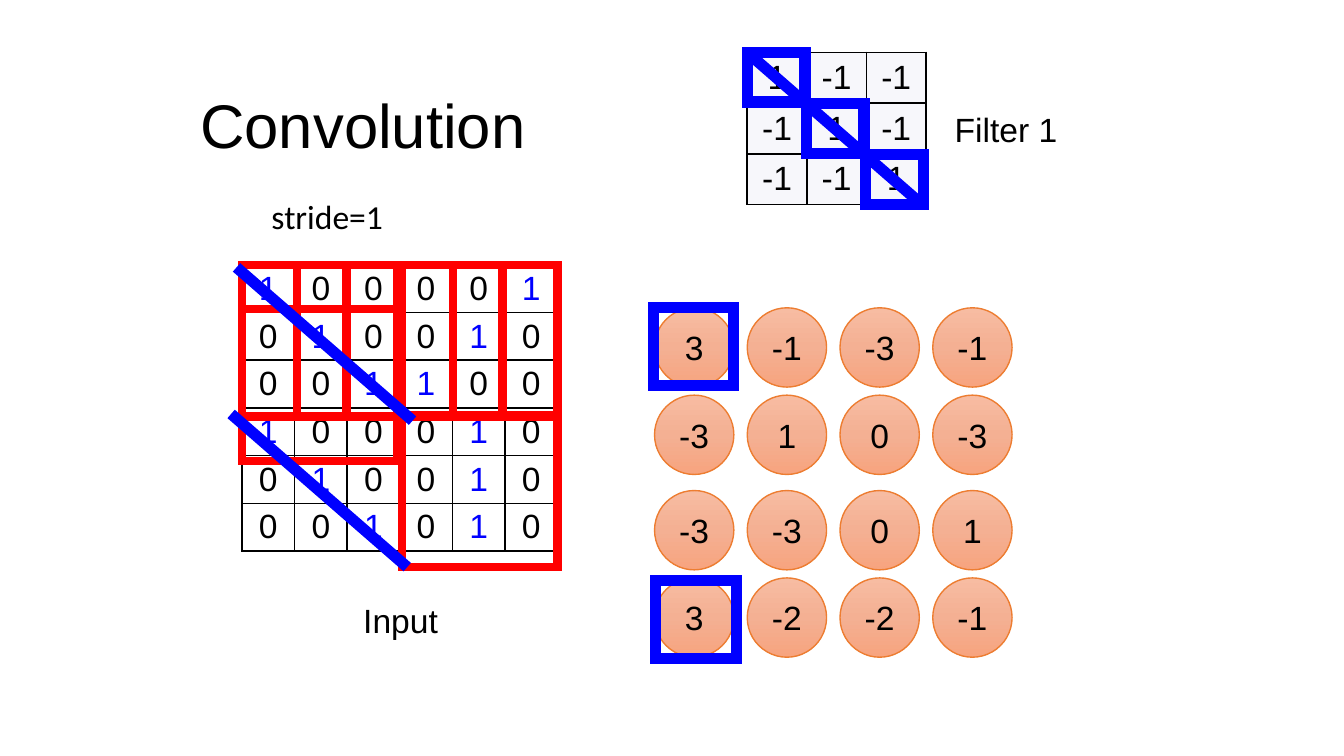
from lxml.etree import SubElement
from pptx import Presentation
from pptx.dml.color import RGBColor
from pptx.enum.shapes import MSO_CONNECTOR as Connector, MSO_SHAPE as Shape
from pptx.enum.text import MSO_ANCHOR as Anchor, MSO_AUTO_SIZE as AutoSize, PP_ALIGN as Align
from pptx.oxml.ns import qn
from pptx.util import Inches, Pt

SLIDE_WIDTH = 10
SLIDE_HEIGHT = SLIDE_WIDTH * 9 / 16
BLACK, RED, BLUE = "000000", "FF0000", "0000FF"

INPUT = dict(
    values=["100001", "010010", "001100", "100010", "010010", "001010"],
    left=1.8, top=1.97, width=2.35, row=0.3, side=0.07, inset=Pt(2.7),
    fill=None, one_color=BLUE)
FILTER = dict(
    values=[["1", "-1", "-1"], ["-1", "1", "-1"], ["-1", "-1", "1"]],
    left=5.56, top=0.39, width=1.33, row=0.3, side=0.08, inset=Pt(3.5),
    fill="F7F7FB", one_color=BLACK)

FEATURE_MAP = [["3", "-1", "-3", "-1"],
               ["-3", "1", "0", "-3"],
               ["-3", "-3", "0", "1"],
               ["3", "-2", "-2", "-1"]]
MAP_LEFT, MAP_PITCH, DIAMETER = 4.87, 0.69, 0.59
MAP_TOPS = [2.29, 2.94, 3.65, 4.3]
CIRCLE_STOPS = [(0, "F7BCA2"), (50, "F4B093"), (100, "F7A47F")]

# Text, box (left, top, width, height), alignment, font
LABELS = [("Input", (2.02, 4.42, 1.92, 0.38), Align.CENTER, "Arial"),
          ("Filter 1", (6.89, 0.77, 1.19, 0.38), Align.CENTER, "Arial"),
          ("stride=1", (1.95, 1.42, 0.99, 0.38), Align.LEFT, "Calibri")]

WINDOW_SIZE = (1.16, 1.13)
WINDOWS = [(1.8, 1.97), (2.21, 1.97), (2.58, 1.97), (2.99, 1.97), (1.8, 2.3), (2.99, 3.09)]
FILTER_BOXES = [(5.56 + 0.44 * i, 0.39 + 0.38 * i, 0.43, 0.37) for i in range(3)]
MATCH_BOXES = [(4.86, 2.29, 0.6, 0.58), (4.88, 4.32, 0.6, 0.58)]
DIAGONALS = [(5.56, 0.39), (1.76, 1.99), (1.72, 3.08)]
DIAGONAL_SIZE = (1.31, 1.14)


def rgb(color):
    return RGBColor.from_string(color)


def write(frame, text, size=18, font="Arial", color=BLACK, align=Align.CENTER):
    paragraph = frame.paragraphs[0]
    paragraph.text = text
    paragraph.alignment = align
    for name, value in dict(name=font, size=Pt(size)).items():
        setattr(paragraph.font, name, value)
    paragraph.font.color.rgb = rgb(color)
    return paragraph


def format_frame(frame, anchor):
    settings = dict(margin_left=Inches(0.07), margin_right=Inches(0.07),
                    margin_top=Inches(0.04), margin_bottom=Inches(0.04),
                    word_wrap=True, auto_size=AutoSize.NONE, vertical_anchor=anchor)
    for name, value in settings.items():
        setattr(frame, name, value)


def add_border(cell):
    properties = cell._tc.get_or_add_tcPr()
    for position, side in enumerate(("a:lnL", "a:lnR", "a:lnT", "a:lnB")):
        line = SubElement(properties, qn(side), w=str(Pt(1)))
        fill = SubElement(line, qn("a:solidFill"))
        SubElement(fill, qn("a:srgbClr"), val=BLACK)
        properties.insert(position, line)


def add_matrix(shapes, values, left, top, width, row, side, inset, fill, one_color):
    rows, columns = len(values), len(values[0])
    table = shapes.add_table(rows, columns, Inches(left), Inches(top),
                             Inches(width), Inches(row * rows)).table
    table.first_row = table.horz_banding = False
    for table_row, numbers in zip(table.rows, values):
        for cell, number in zip(table_row.cells, numbers):
            cell.margin_left = cell.margin_right = Inches(side)
            cell.margin_top = cell.margin_bottom = inset
            if fill:
                cell.fill.solid()
                cell.fill.fore_color.rgb = rgb(fill)
            else:
                cell.fill.background()
            add_border(cell)
            write(cell.text_frame, number, color=one_color if number == "1" else BLACK)


def add_outline(shapes, kind, box, color, width):
    shape = shapes.add_shape(kind, *map(Inches, box))
    shape.shadow.inherit = False
    shape.fill.background()
    shape.line.color.rgb = rgb(color)
    shape.line.width = Pt(width)
    SubElement(shape.line._get_or_add_ln(), qn("a:miter"), lim="800000")
    return shape


def add_circle(shapes, left, top, number):
    circle = add_outline(shapes, Shape.OVAL, (left, top, DIAMETER, DIAMETER), "ED7D31", 0.75)
    circle.fill.gradient()
    circle.fill.gradient_angle = 270
    stops = circle._element.spPr.find(qn("a:gradFill")).find(qn("a:gsLst"))
    for stop in list(stops):
        stops.remove(stop)
    for percent, color in CIRCLE_STOPS:
        stop = SubElement(stops, qn("a:gs"), pos=str(percent * 1000))
        SubElement(stop, qn("a:srgbClr"), val=color)
    format_frame(circle.text_frame, Anchor.MIDDLE)
    write(circle.text_frame, number)


def add_diagonal(shapes, left, top):
    width, height = DIAGONAL_SIZE
    ends = (left, top, left + width, top + height)
    line = shapes.add_connector(Connector.STRAIGHT, *map(Inches, ends))
    line.line.color.rgb = rgb(BLUE)
    line.line.width = Pt(6)
    SubElement(line._element.spPr, qn("a:effectLst"))


def main():
    presentation = Presentation()
    presentation.slide_width = Inches(SLIDE_WIDTH)
    presentation.slide_height = Inches(SLIDE_HEIGHT)
    slide = presentation.slides.add_slide(presentation.slide_layouts[5])
    shapes = slide.shapes

    title = shapes.title
    title.left, title.top, title.width, title.height = map(Inches, (1.42, 0.67, 2.95, 0.64))
    format_frame(title.text_frame, Anchor.TOP)
    write(title.text_frame, "Convolution", size=33, align=Align.LEFT).line_spacing = 0.9

    for matrix in (INPUT, FILTER):
        add_matrix(shapes, **matrix)
    for text, box, align, font in LABELS:
        frame = shapes.add_textbox(*map(Inches, box)).text_frame
        format_frame(frame, Anchor.TOP)
        write(frame, text, font=font, align=align)
    for top, numbers in zip(MAP_TOPS, FEATURE_MAP):
        for column, number in enumerate(numbers):
            add_circle(shapes, MAP_LEFT + column * MAP_PITCH, top, number)

    for corner in WINDOWS:
        add_outline(shapes, Shape.RECTANGLE, corner + WINDOW_SIZE, RED, 4.5)
    for box in FILTER_BOXES + MATCH_BOXES:
        add_outline(shapes, Shape.RECTANGLE, box, BLUE, 6)
    for start in DIAGONALS:
        add_diagonal(shapes, *start)

    presentation.save("out.pptx")


if __name__ == "__main__":
    main()
